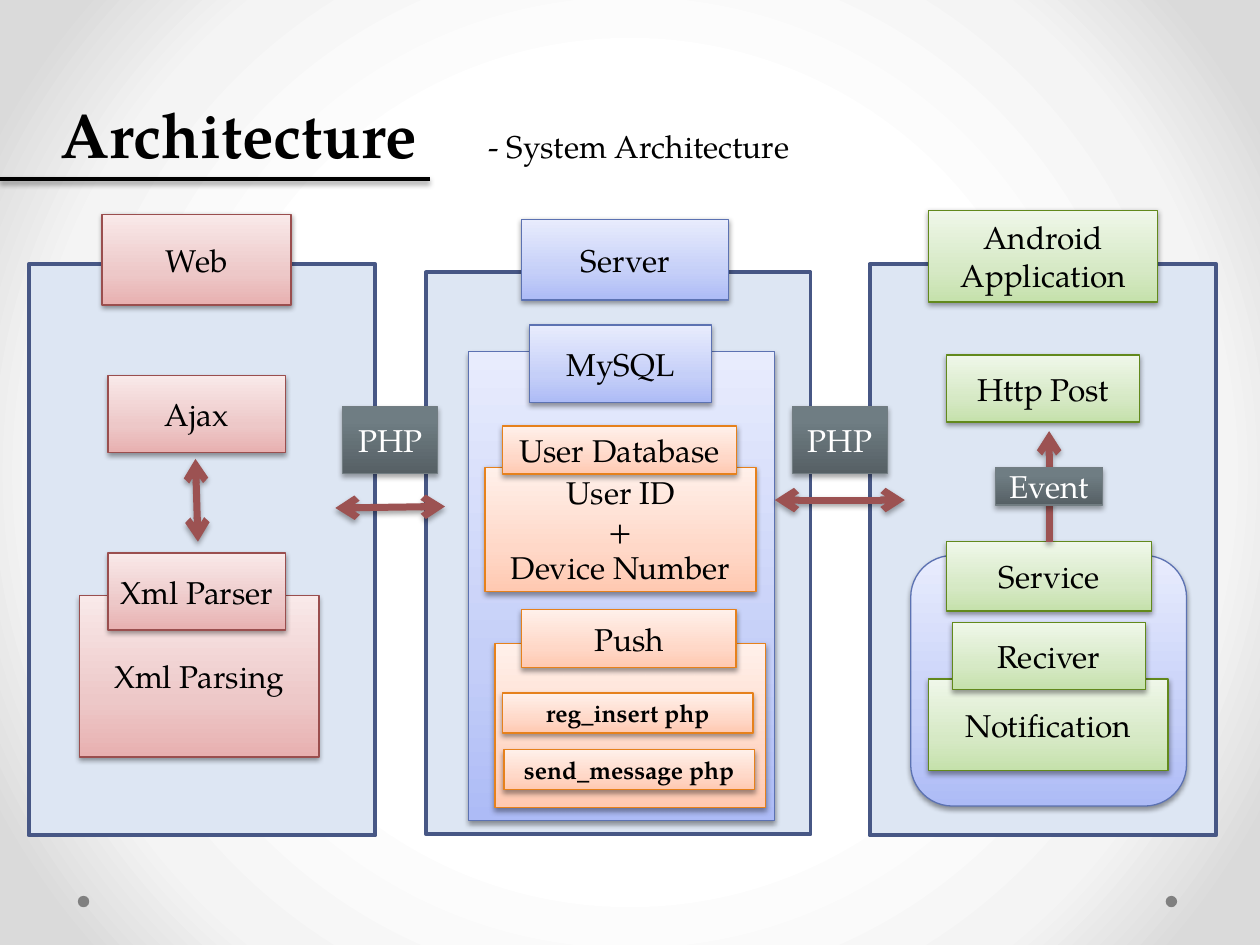
from dataclasses import dataclass

from lxml import etree
from pptx import Presentation
from pptx.dml.color import RGBColor
from pptx.enum.shapes import MSO_CONNECTOR, MSO_SHAPE
from pptx.enum.text import MSO_ANCHOR, MSO_AUTO_SIZE, PP_ALIGN
from pptx.oxml.ns import qn
from pptx.util import Cm, Pt

RECT, ROUND, OVAL = MSO_SHAPE.RECTANGLE, MSO_SHAPE.ROUNDED_RECTANGLE, MSO_SHAPE.OVAL
STRAIGHT = MSO_CONNECTOR.STRAIGHT
CENTER, MIDDLE = PP_ALIGN.CENTER, MSO_ANCHOR.MIDDLE
GROW = MSO_AUTO_SIZE.SHAPE_TO_FIT_TEXT
TOP = 0


@dataclass(frozen=True)
class Paint:
    stops: tuple
    line: str
    text: str = "000000"
    shadow: tuple = (38, 1.6)


class Theme:
    font = "TeX Gyre Pagella"
    title, body, small = 36, 18, 14
    black, dot, arrow = "000000", "808080", "9C5252"
    panel, panel_line = "DDE6F3", "475785"
    thin, medium, thick = 0.75, 2.25, 4
    blur = 3.1
    soft, strong = (38, 1.6), (35, 1.8)
    backdrop = ((50, "FFFFFF"), (76, "F4F4F4"), (92, "DADADA"))
    red = Paint(((0, "E8B0B0"), (35, "EDC8C8"), (100, "F9E9E9")), "9A4E4E")
    blue = Paint(((0, "ADBBF6"), (35, "C5CFF8"), (100, "E8ECFD")), "5C72B2")
    green = Paint(((0, "C5E1AB"), (35, "D6E9C5"), (100, "EFF7E9")), "62891C")
    orange = Paint(((0, "FFC9B1"), (35, "FFD8C8"), (100, "FFF0EA")), "E6811C")
    gray = Paint(((0, "566065"), (80, "6F7D83"), (100, "6F7E84")), "727D82", "FFFFFF", strong)


def rgb(value):
    return RGBColor.from_string(value)


def put(obj, **values):
    for name, value in values.items():
        setattr(obj, name, value)


def child(parent, tag, **attrs):
    return etree.SubElement(parent, qn(tag), {k: str(v) for k, v in attrs.items()})


class Deck:
    """Draws styled elements on the current slide."""

    def __init__(self, theme, width, height):
        self.t = theme
        self.prs = Presentation()
        put(self.prs, slide_width=Cm(width), slide_height=Cm(height))
        self.s = self.prs.slides.add_slide(self.prs.slide_layouts[6])

    def gradient(self, fill, owner, stops):
        fill.gradient()
        grad = next(owner.iter(qn("a:gradFill")))
        for old in list(grad):
            grad.remove(old)
        gs_list = child(grad, "a:gsLst")
        for pos, color in stops:
            child(child(gs_list, "a:gs", pos=pos * 1000), "a:srgbClr", val=color)
        return grad

    def background(self):
        grad = self.gradient(self.s.background.fill, self.s.element, self.t.backdrop)
        circle = child(grad, "a:path", path="circle")
        child(circle, "a:fillToRect", l=50000, t=50000, r=50000, b=50000)

    def shadow(self, effects, alpha, dist):
        shade = child(effects, "a:outerShdw", blurRad=Pt(self.t.blur), dist=Pt(dist),
                      dir=5400000, rotWithShape=0)
        color = child(shade, "a:srgbClr", val=self.t.black)
        child(color, "a:alpha", val=alpha * 1000)

    def add_text(self, tf, text, color, size, bold=False, align=None):
        for i, line in enumerate(text.split("\n")):
            p = tf.add_paragraph() if i else tf.paragraphs[0]
            p.alignment = align
            r = p.add_run()
            r.text = line
            put(r.font, name=self.t.font, size=Pt(size), bold=bold)
            r.font.color.rgb = rgb(color)

    def shape(self, box, kind=RECT):
        sp = self.s.shapes.add_shape(kind, *map(Cm, box))
        sp.shadow.inherit = False
        return sp

    def dot(self, x, y, size):
        sp = self.shape((x, y, size, size), OVAL)
        sp.fill.solid()
        sp.fill.fore_color.rgb = rgb(self.t.dot)
        sp.line.fill.background()

    def panel(self, *box):
        sp = self.shape(box)
        sp.fill.solid()
        sp.fill.fore_color.rgb = rgb(self.t.panel)
        sp.line.color.rgb = rgb(self.t.panel_line)
        sp.line.width = Pt(self.t.medium)

    def block(self, paint, box, text="", kind=RECT, size=None, bold=False):
        sp = self.shape(box, kind)
        grad = self.gradient(sp.fill, sp.element.spPr, paint.stops)
        child(grad, "a:lin", ang=16200000, scaled=0)
        sp.line.color.rgb = rgb(paint.line)
        sp.line.width = Pt(self.t.thin)
        self.shadow(sp.element.spPr.find(qn("a:effectLst")), *paint.shadow)
        if text:
            tf = sp.text_frame
            put(tf, word_wrap=True, vertical_anchor=MIDDLE,
                margin_left=Cm(0.15), margin_right=Cm(0.15))
            self.add_text(tf, text, paint.text, size or self.t.body, bold, CENTER)
        return sp

    def label(self, box, text, size, bold=False):
        tf = self.s.shapes.add_textbox(*map(Cm, box)).text_frame
        put(tf, word_wrap=False, auto_size=GROW)
        self.add_text(tf, text, self.t.black, size, bold)

    def line(self, ends, color, width, shadow, arrows=()):
        cx = self.s.shapes.add_connector(STRAIGHT, *map(Cm, ends))
        cx.line.color.rgb = rgb(color)
        cx.line.width = Pt(width)
        sp_pr = cx.element.spPr
        for end in arrows:
            child(sp_pr.find(qn("a:ln")), end, type="arrow")
        self.shadow(child(sp_pr, "a:effectLst"), *shadow)
        return cx

    def arrow(self, *ends, both=True):
        arrows = ("a:headEnd", "a:tailEnd") if both else ("a:tailEnd",)
        return self.line(ends, self.t.arrow, self.t.thick, self.t.strong, arrows)


def main():
    t = Theme
    d = Deck(t, 25.4, 19.05)
    d.background()
    for x in (1.57, 23.5):
        d.dot(x, 18.06, 0.23)

    d.label((0.97, 1.8, 7.77, 3.33), "Architecture", t.title, True)
    d.line((0, 3.61, 8.66, 3.61), t.black, t.medium, t.soft)
    d.label((9.6, 2.44, 6.63, 1.02), "- System Architecture", t.body)

    for x in (0.58, 17.53):
        d.panel(x, 5.33, 6.99, 11.51)
    d.panel(8.59, 5.49, 7.75, 11.33)

    for box, text in (
        ((2.06, 4.32, 3.81, 1.83), "Web"),
        ((1.6, 12.01, 4.83, 3.25), "Xml Parsing"),
        ((2.18, 11.15, 3.58, 1.55), "Xml Parser"),
        ((2.18, 7.57, 3.58, 1.55), "Ajax"),
    ):
        d.block(t.red, box, text)
    d.arrow(3.94, 9.25, 3.99, 10.92)

    for box, text in (
        ((10.52, 4.42, 4.17, 1.63), "Server"),
        ((9.45, 7.09, 6.17, 9.45), ""),
        ((10.67, 6.55, 3.68, 1.57), "MySQL"),
    ):
        d.block(t.blue, box, text)
    for box, text in (
        ((9.78, 9.42, 5.46, 2.51), "User ID\n+\nDevice Number"),
        ((10.13, 8.59, 4.72, 0.97), "User Database"),
        ((9.98, 12.98, 5.46, 3.3), ""),
        ((10.52, 12.29, 4.32, 1.17), "Push"),
    ):
        d.block(t.orange, box, text)
    for x, y, text in ((10.13, 13.97, "reg_insert php"), (10.16, 15.11, "send_message php")):
        d.block(t.orange, (x, y, 5.05, 0.81), text, size=t.small, bold=True)

    d.block(t.blue, (18.36, 11.2, 5.56, 5.05), kind=ROUND)
    for box, text in (
        ((18.72, 4.24, 4.62, 1.85), "Android Application"),
        ((19.08, 7.16, 3.89, 1.35), "Http Post"),
        ((18.72, 13.69, 4.83, 1.85), "Notification"),
        ((19.2, 12.55, 3.89, 1.35), "Reciver"),
    ):
        d.block(t.green, box, text)
    service = d.block(t.green, (19.08, 10.92, 4.14, 1.4), "Service")
    d.arrow(21.15, 10.92, 21.15, 8.69, both=False).begin_connect(service, TOP)
    d.block(t.gray, (20.07, 9.42, 2.16, 0.76), "Event")

    for x in (6.91, 15.98):
        d.block(t.gray, (x, 8.2, 1.91, 1.35), "PHP")
    d.arrow(6.76, 10.24, 8.97, 10.21)
    d.arrow(15.62, 10.08, 18.24, 10.08)

    d.prs.save("out.pptx")


if __name__ == "__main__":
    main()
